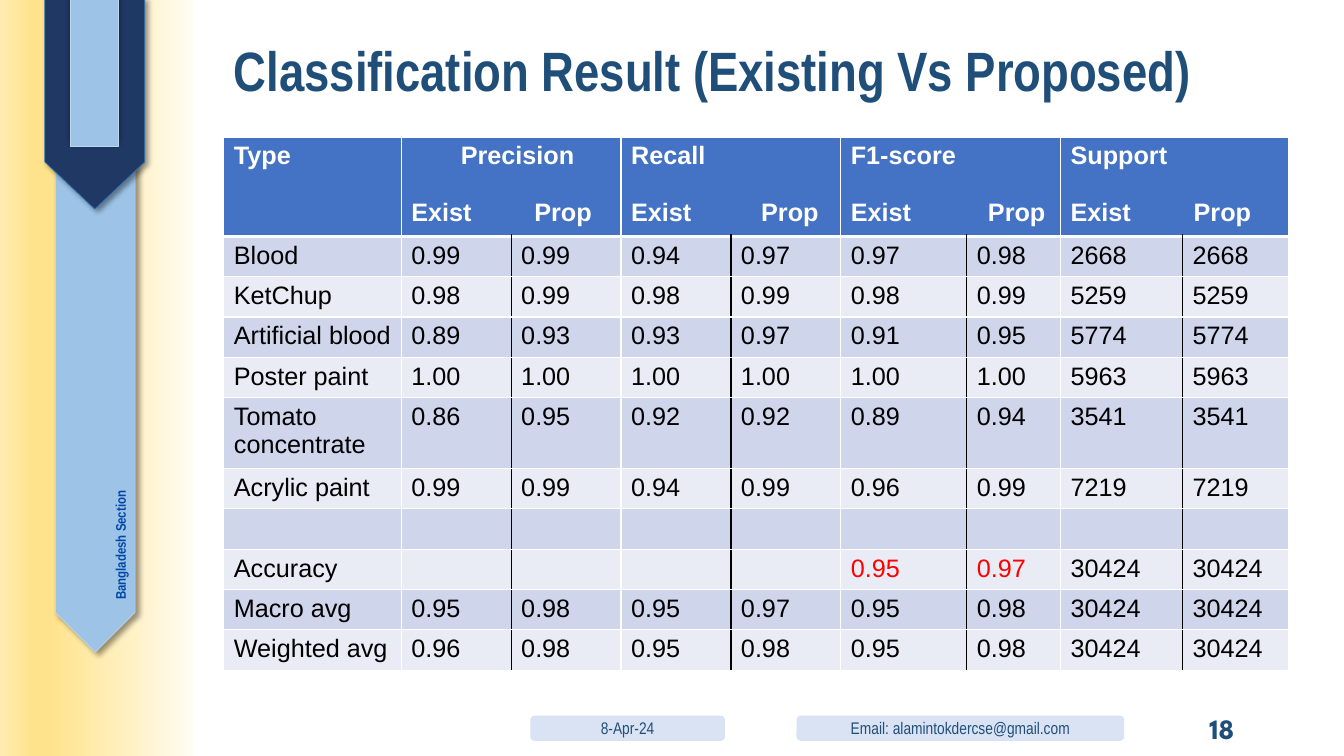
from dataclasses import dataclass

import lxml.etree
import pptx
import pptx.dml.color
import pptx.enum.shapes
import pptx.enum.text
import pptx.oxml.ns
import pptx.util

Inches, Pt = pptx.util.Inches, pptx.util.Pt
SHAPE = pptx.enum.shapes.MSO_SHAPE
ALIGN = pptx.enum.text.PP_ALIGN
ANCHOR = pptx.enum.text.MSO_ANCHOR


@dataclass(frozen=True)
class Theme:
    narrow: str = "Arial Narrow"
    body: str = "Arial"
    number: str = "League Spartan"
    navy: str = "1F4E79"
    section: str = "0047A8"
    white: str = "FFFFFF"
    black: str = "000000"
    red: str = "FF0000"
    header: str = "4472C4"
    bands: tuple = ("CFD5EA", "E9EBF5")
    footer: str = "DAE3F3"
    glow: tuple = ((0, "FFFCF2"), (74, "FFE38C"), (83, "FFE38C"), (100, "FFECB2"))
    title_size: float = 39.6
    number_size: float = 20
    table_size: float = 18
    footer_size: float = 12
    section_size: float = 10


@dataclass(frozen=True)
class Ribbon:
    box: tuple
    point: float
    fill: str
    line: str
    shadow_angle: int


@dataclass(frozen=True)
class Label:
    text: str
    box: tuple
    size: float
    font: str = "Arial Narrow"
    color: str = "1F4E79"
    bold: bool = True
    align: ALIGN = ALIGN.LEFT
    anchor: ANCHOR = ANCHOR.MIDDLE
    rotation: int = 0
    spacing: float = 1.0
    fill: str = ""


@dataclass(frozen=True)
class Metric:
    name: str
    indent: float
    prop_tab: float


THEME = Theme()
RIBBONS = (
    Ribbon((-2.29, 2.84, 6.47, 0.79), 0.5, "9DC3E6", "BDD7EE", 45),
    Ribbon((-0.11, 0.53, 2.1, 0.99), 0.472, "203864", "2E75B6", 45),
    Ribbon((0.2, 0.48, 1.47, 0.48), 0, "9DC3E6", "BDD7EE", 270),
)
LABELS = (
    Label("Bangladesh Section", (0.32, 5.03, 1.76, 0.28), THEME.section_size,
          color=THEME.section, anchor=ANCHOR.TOP, rotation=270),
    Label("Classification Result (Existing Vs Proposed)", (2.22, 0.12, 10.72, 1.21),
          THEME.title_size, spacing=0.9),
    Label("18", (9.34, 7.1, 3, 0.25), THEME.number_size, font=THEME.number, align=ALIGN.RIGHT),
    Label("8-Apr-24", (5.26, 7.1, 1.93, 0.25), THEME.footer_size, bold=False,
          align=ALIGN.CENTER, fill=THEME.footer),
    Label("Email: alamintokdercse@gmail.com", (7.9, 7.1, 3.25, 0.25), THEME.footer_size,
          bold=False, align=ALIGN.CENTER, fill=THEME.footer),
)
METRICS = (Metric("Precision", 0.49, 1.22), Metric("Recall", 0, 1.29),
           Metric("F1-score", 0, 1.36), Metric("Support", 0, 1.22))
COLUMN_WIDTHS = (1.76, 1.09, 1.09, 1.09, 1.09, 1.25, 0.93, 1.21, 1.05)
HEADER_HEIGHT, ROW_HEIGHT, TALL_ROW_HEIGHT = 0.95, 0.38, 0.66
RESULTS = (
    ("Blood", "0.99", "0.99", "0.94", "0.97", "0.97", "0.98", "2668", "2668"),
    ("KetChup", "0.98", "0.99", "0.98", "0.99", "0.98", "0.99", "5259", "5259"),
    ("Artificial blood", "0.89", "0.93", "0.93", "0.97", "0.91", "0.95", "5774", "5774"),
    ("Poster paint", "1.00", "1.00", "1.00", "1.00", "1.00", "1.00", "5963", "5963"),
    ("Tomato concentrate", "0.86", "0.95", "0.92", "0.92", "0.89", "0.94", "3541", "3541"),
    ("Acrylic paint", "0.99", "0.99", "0.94", "0.99", "0.96", "0.99", "7219", "7219"),
    ("",) * 9,
    ("Accuracy", "", "", "", "", "0.95", "0.97", "30424", "30424"),
    ("Macro avg", "0.95", "0.98", "0.95", "0.97", "0.95", "0.98", "30424", "30424"),
    ("Weighted avg", "0.96", "0.98", "0.95", "0.98", "0.95", "0.98", "30424", "30424"),
)


def rgb(value: str) -> pptx.dml.color.RGBColor:
    return pptx.dml.color.RGBColor.from_string(value)


def add_node(parent, tag: str, **attributes):
    texts = {key: str(value) for key, value in attributes.items()}
    return lxml.etree.SubElement(parent, pptx.oxml.ns.qn(tag), texts)


def place(box: tuple) -> list:
    return [Inches(length) for length in box]


def paint(part, color: str) -> None:
    part.fill.solid()
    part.fill.fore_color.rgb = rgb(color)


def style_runs(frame, font: str, size: float, color: str, bold: bool, align: ALIGN) -> None:
    for paragraph in frame.paragraphs:
        paragraph.alignment = align
        for run in paragraph.runs:
            run.font.name, run.font.size, run.font.bold = font, Pt(size), bold
            run.font.color.rgb = rgb(color)


def draw_glow(slide) -> None:
    glow = slide.shapes.add_shape(SHAPE.RECTANGLE, *place((-0.01, -0.02, 1.93, 7.55)))
    glow.shadow.inherit = False
    glow.line.fill.background()
    glow.fill.gradient()
    glow.fill.gradient_angle = 180
    stops = glow.fill._fill._gradFill.find(pptx.oxml.ns.qn("a:gsLst"))
    stops.clear()
    for position, color in THEME.glow:
        add_node(add_node(stops, "a:gs", pos=position * 1000), "a:srgbClr", val=color)


def draw_ribbon(slide, ribbon: Ribbon) -> None:
    band = slide.shapes.add_shape(SHAPE.PENTAGON, *place(ribbon.box))
    band.rotation = 90
    band.adjustments[0] = ribbon.point
    paint(band, ribbon.fill)
    band.line.color.rgb = rgb(ribbon.line)
    band.line.width = Pt(0.5)
    band.shadow.inherit = False
    effects = band._element.spPr.find(pptx.oxml.ns.qn("a:effectLst"))
    shadow = add_node(effects, "a:outerShdw", blurRad=Pt(4), dist=Pt(3),
                      dir=ribbon.shadow_angle * 60000, algn="tl", rotWithShape=0)
    add_node(add_node(shadow, "a:srgbClr", val=THEME.black), "a:alpha", val=40000)


def draw_label(slide, label: Label) -> None:
    if label.fill:
        holder = slide.shapes.add_shape(SHAPE.ROUNDED_RECTANGLE, *place(label.box))
        holder.shadow.inherit = False
        holder.line.fill.background()
        paint(holder, label.fill)
    else:
        holder = slide.shapes.add_textbox(*place(label.box))
    holder.rotation = label.rotation
    frame = holder.text_frame
    frame.word_wrap = True
    frame.vertical_anchor = label.anchor
    frame.text = label.text
    frame.paragraphs[0].line_spacing = label.spacing
    style_runs(frame, label.font, label.size, label.color, label.bold, label.align)


def set_borders(cell, left: str, right: str, bottom_width: float = 1) -> None:
    properties = cell._tc.get_or_add_tcPr()
    edges = (("a:lnL", left, 1), ("a:lnR", right, 1),
             ("a:lnT", THEME.white, 1), ("a:lnB", THEME.white, bottom_width))
    for index, (tag, color, width) in enumerate(edges):
        edge = add_node(properties, tag, w=Pt(width))
        add_node(add_node(edge, "a:solidFill"), "a:srgbClr", val=color)
        properties.insert(index, edge)


def fill_header(table) -> None:
    for cell in table.rows[0].cells:
        paint(cell, THEME.header)
        set_borders(cell, THEME.white, THEME.white, 3)
    table.cell(0, 0).text_frame.text = "Type"
    for index, metric in enumerate(METRICS):
        column = 2 * index + 1
        table.cell(0, column).merge(table.cell(0, column + 1))
        frame = table.cell(0, column).text_frame
        frame.text = f"{metric.name}\nExist\tProp"
        name, pair = frame.paragraphs
        name._p.get_or_add_pPr().set("marL", str(Inches(metric.indent)))
        tabs = add_node(pair._p.get_or_add_pPr(), "a:tabLst")
        add_node(tabs, "a:tab", pos=Inches(metric.prop_tab), algn="l")
        pair.space_before = Pt(20.5)
    for cell in table.rows[0].cells:
        style_runs(cell.text_frame, THEME.body, THEME.table_size, THEME.white, True, ALIGN.JUSTIFY)


def draw_results(slide) -> None:
    heights = [HEADER_HEIGHT] + [TALL_ROW_HEIGHT if row[0] == "Tomato concentrate" else ROW_HEIGHT
                                 for row in RESULTS]
    box = (2.22, 1.36, sum(COLUMN_WIDTHS), sum(heights))
    table = slide.shapes.add_table(len(heights), len(COLUMN_WIDTHS), *place(box)).table
    table.first_row = table.horz_banding = False
    for column, width in zip(table.columns, COLUMN_WIDTHS):
        column.width = Inches(width)
    for row, height in zip(table.rows, heights):
        row.height = Inches(height)
    fill_header(table)
    for row, values in enumerate(RESULTS, start=1):
        for column, value in enumerate(values):
            cell = table.cell(row, column)
            paint(cell, THEME.bands[(row - 1) % 2])
            proposed = column > 0 and column % 2 == 0
            set_borders(cell, THEME.black if proposed else THEME.white,
                        THEME.black if column % 2 else THEME.white)
            cell.text_frame.text = value
            color = THEME.red if values[0] == "Accuracy" and column in (5, 6) else THEME.black
            style_runs(cell.text_frame, THEME.body, THEME.table_size, color, False, ALIGN.JUSTIFY)


def main() -> None:
    """Build the classification result slide."""
    deck = pptx.Presentation()
    deck.slide_width, deck.slide_height = Inches(13.33), Inches(7.5)
    slide = deck.slides.add_slide(deck.slide_layouts[6])
    draw_glow(slide)
    for ribbon in RIBBONS:
        draw_ribbon(slide, ribbon)
    for label in LABELS:
        draw_label(slide, label)
    draw_results(slide)
    deck.save("out.pptx")


if __name__ == "__main__":
    main()
